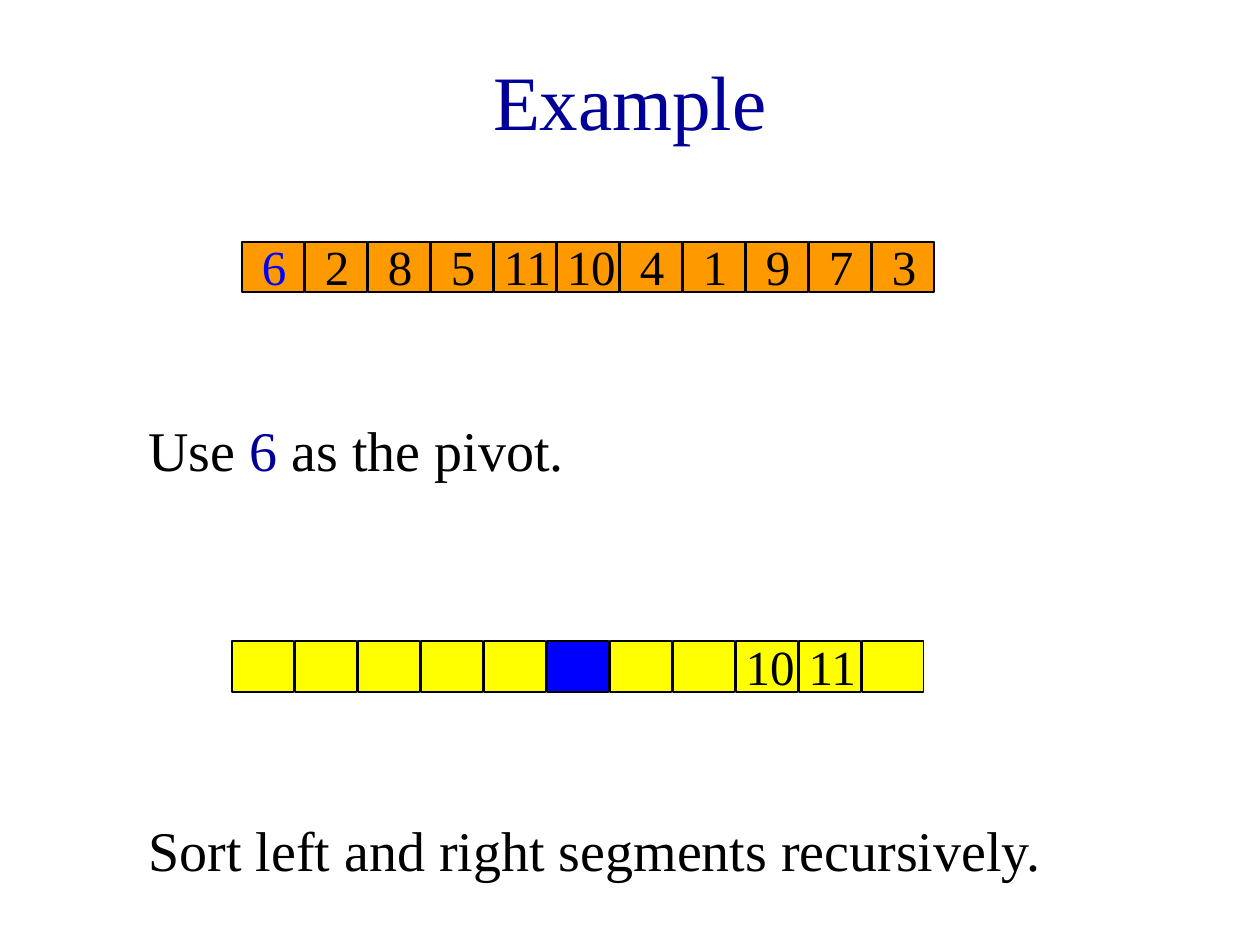
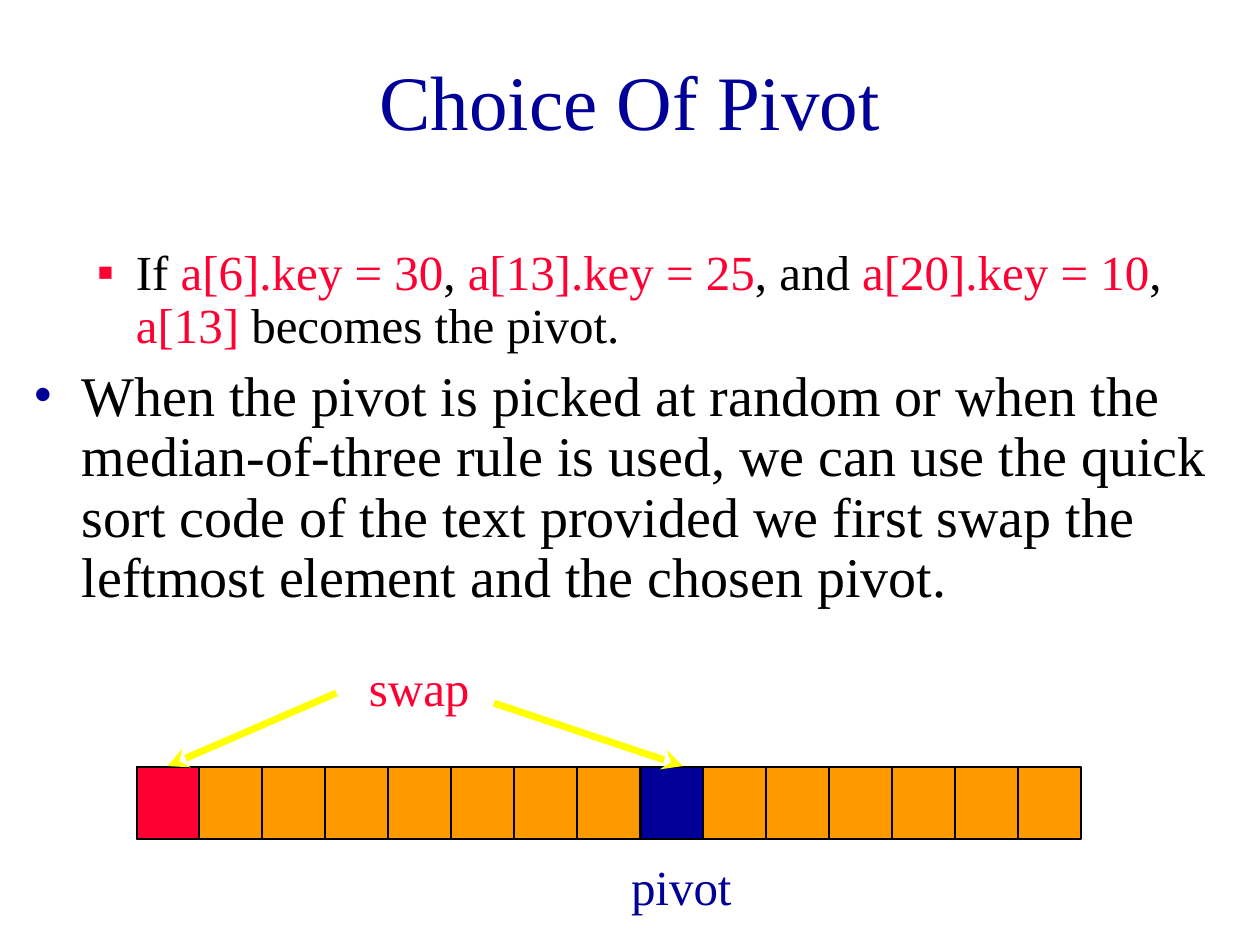
from pptx import Presentation, util as u
from pptx.dml.color import RGBColor
from pptx.enum import shapes, text
from pptx.oxml.ns import qn
from lxml import etree

FONT = "Times New Roman"
COLORS = {
    "ink": "000000",
    "navy": "000099",
    "blue": "0000FF",
    "red": "FF0033",
    "orange": "FF9900",
    "yellow": "FFFF00",
    "paper": "FFFFFF",
}
PITCH = 0.5
CELL_WIDTH = 0.49


def rgb(name):
    return RGBColor.from_string(COLORS[name])


def place(left, top, width, height):
    return [u.Inches(value) for value in (left, top, width, height)]


def format_text(paragraph, content, size=28, color="ink", align=text.PP_ALIGN.LEFT,
                before=0, spacing=1.0, bullet=None, bullet_color="ink", indent=0, hanging=0):
    """Fill a paragraph with a string or with (string, colour) runs."""
    runs = [(content, color)] if isinstance(content, str) else content
    for words, run_color in runs:
        run = paragraph.add_run()
        run.text = words
        run.font.name = FONT
        run.font.size = u.Pt(size)
        run.font.color.rgb = rgb(run_color)
    paragraph.alignment = align
    paragraph.space_before = u.Pt(before)
    paragraph.line_spacing = spacing
    if bullet:
        properties = paragraph._p.get_or_add_pPr()
        properties.set("marL", str(u.Inches(indent)))
        properties.set("indent", str(-u.Inches(hanging)))
        tint = etree.SubElement(properties, qn("a:buClr"))
        etree.SubElement(tint, qn("a:srgbClr"), val=COLORS[bullet_color])
        etree.SubElement(properties, qn("a:buFont"), typeface=FONT)
        etree.SubElement(properties, qn("a:buChar"), char=bullet)


def add_text_box(slide, box, content=None, wrap=True, **style):
    frame = slide.shapes.add_textbox(*place(*box)).text_frame
    frame.word_wrap = wrap
    if content:
        format_text(frame.paragraphs[0], content, **style)
    return frame


def add_rectangle(slide, box, fill):
    shape = slide.shapes.add_shape(shapes.MSO_SHAPE.RECTANGLE, *place(*box))
    shape.shadow.inherit = False
    shape.fill.solid()
    shape.fill.fore_color.rgb = rgb(fill)
    shape.line.color.rgb = rgb("ink")
    shape.line.width = u.Pt(1)


def add_line(slide, start, end, color="ink", width=1, arrow=False):
    points = [u.Inches(value) for value in (*start, *end)]
    line = slide.shapes.add_connector(shapes.MSO_CONNECTOR.STRAIGHT, *points)
    line.line.color.rgb = rgb(color)
    line.line.width = u.Pt(width)
    if arrow:
        etree.SubElement(line.line._get_or_add_ln(), qn("a:tailEnd"), type="stealth")
    etree.SubElement(line._element.spPr, qn("a:effectLst"))


def add_titled_slide(presentation, title):
    slide = presentation.slides.add_slide(presentation.slide_layouts[5])
    slide.background.fill.solid()
    slide.background.fill.fore_color.rgb = rgb("paper")
    shape = slide.shapes.title
    shape.left, shape.top, shape.width, shape.height = place(0.75, 0.17, 8.5, 1.25)
    frame = shape.text_frame
    frame.word_wrap = True
    frame.vertical_anchor = text.MSO_ANCHOR.MIDDLE
    format_text(frame.paragraphs[0], title, size=44, color="navy", align=text.PP_ALIGN.CENTER)
    return slide


def add_number_row(slide, left, top, numbers, fill, pivot_index, pivot_fill, pivot_color):
    """Draw one cell for each entry; None leaves a cell blank."""
    for index, number in enumerate(numbers):
        is_pivot = index == pivot_index
        cell_left = left + index * PITCH
        add_rectangle(slide, (cell_left, top, CELL_WIDTH, 0.4), pivot_fill if is_pivot else fill)
        if number is not None:
            shift, width = (0.06, 0.52) if number < 10 else (-0.02, 0.77)
            add_text_box(slide, (cell_left + shift, top - 0.09, width, 0.57), str(number),
                         color=pivot_color if is_pivot else "ink")


def add_array_with_swap(slide, left, top, cell_count, pivot_index):
    height = 0.57
    # Bar and cell dividers
    add_rectangle(slide, (left, top, cell_count * PITCH - 0.01, height), "orange")
    for index in range(1, cell_count):
        divider = left - 0.01 + index * PITCH
        add_line(slide, (divider, top - 0.01), (divider, top + height + 0.01))

    # Pivot and leftmost element
    pivot_left = left + pivot_index * PITCH
    add_rectangle(slide, (pivot_left, top, CELL_WIDTH, height), "navy")
    add_text_box(slide, (pivot_left - 0.18, top + 0.66, 1.09, 0.57), "pivot", color="navy")
    add_rectangle(slide, (left, top, CELL_WIDTH, height), "red")

    # Swap label and its arrows
    add_text_box(slide, (left + 1.74, top - 0.92, 1.0, 0.57), "swap", color="red", wrap=False)
    arrow_style = {"color": "yellow", "width": 4, "arrow": True}
    add_line(slide, (left + 1.58, top - 0.59), (left + 0.24, top - 0.01), **arrow_style)
    add_line(slide, (left + 2.83, top - 0.51), (pivot_left + 0.33, top - 0.01), **arrow_style)


def add_pivot_rules(slide, box):
    frame = add_text_box(slide, box)
    format_text(frame.paragraphs[0], [
        ("If ", "ink"), ("a[6].key = 30", "red"), (",", "ink"), (" a[13].key = 25", "red"),
        (", and", "ink"), (" a[20].key = 10", "red"), (", ", "ink"), ("a[13] ", "red"),
        ("becomes the pivot.", "ink"),
    ], before=7, spacing=0.9, bullet="▪", bullet_color="red", indent=0.81, hanging=0.31)
    format_text(
        frame.add_paragraph(),
        "When the pivot is picked at random or when the median-of-three rule is used, "
        "we can use the quick sort code of the text provided we first swap the leftmost "
        "element and the chosen pivot.",
        size=32, before=8, spacing=0.9, bullet="•", bullet_color="navy",
        indent=0.38, hanging=0.38)


def build_example(presentation):
    slide = add_titled_slide(presentation, "Example")
    # Unsorted row
    add_number_row(slide, 1.92, 1.92, [6, 2, 8, 5, 11, 10, 4, 1, 9, 7, 3],
                   "orange", 0, "orange", "blue")
    add_text_box(slide, (1.08, 3.25, 7.83, 0.63),
                 [("Use ", "ink"), ("6 ", "navy"), ("as the pivot.", "ink")], size=32)
    # Partitioned row
    add_number_row(slide, 1.84, 5.09, [None] * 8 + [10, 11, None],
                   "yellow", 5, "blue", "ink")
    add_text_box(slide, (1.08, 6.42, 7.83, 0.63),
                 "Sort left and right segments recursively.", size=32)


def build_choice_of_pivot(presentation):
    slide = add_titled_slide(presentation, "Choice Of Pivot")
    add_pivot_rules(slide, (0.17, 1.92, 9.75, 3.08))
    add_array_with_swap(slide, 1.09, 6.09, cell_count=15, pivot_index=8)


def main():
    presentation = Presentation()
    presentation.slide_width = u.Inches(10)
    presentation.slide_height = u.Inches(7.5)
    build_example(presentation)
    build_choice_of_pivot(presentation)
    presentation.save("out.pptx")


if __name__ == "__main__":
    main()
